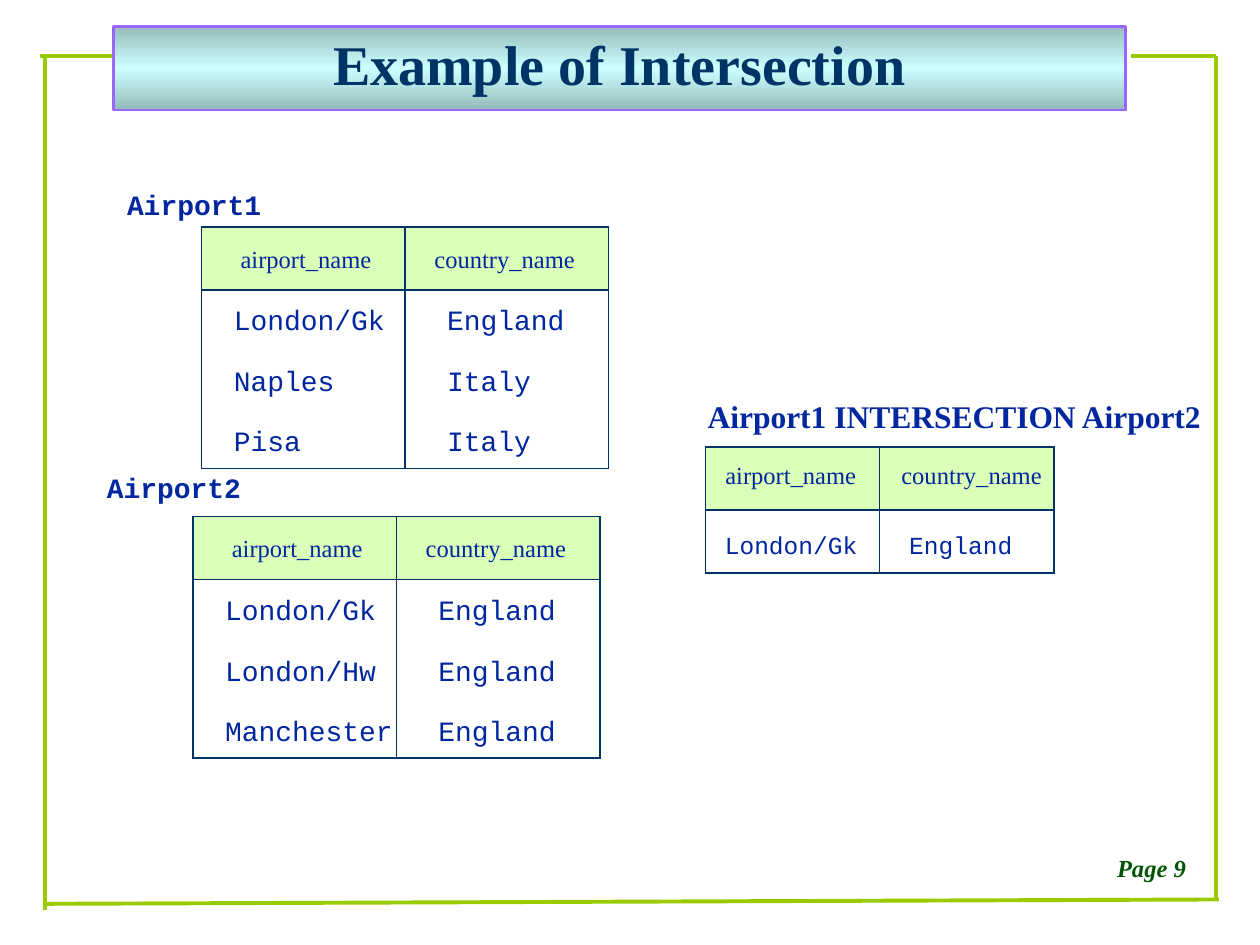
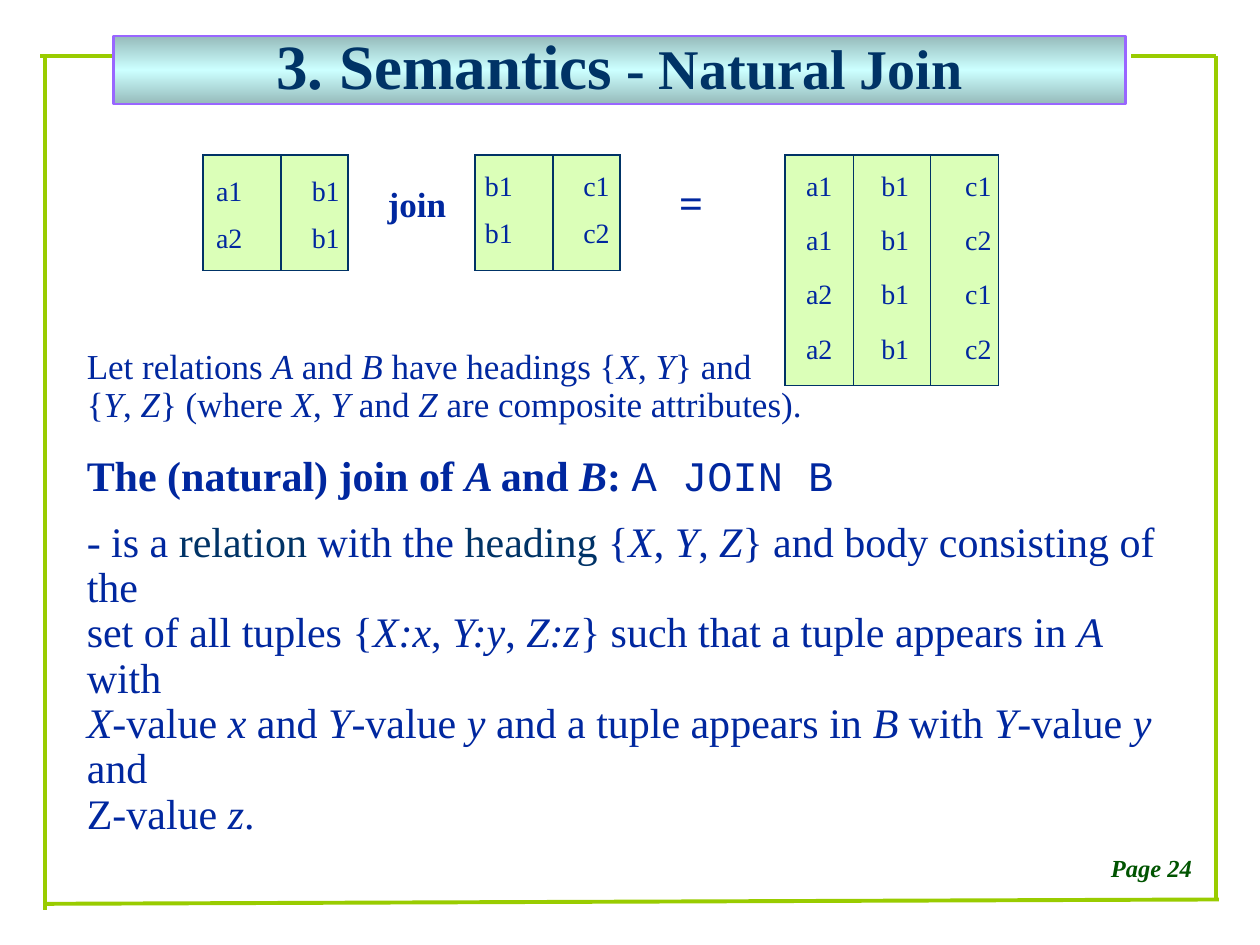
from collections import namedtuple
from copy import deepcopy

from lxml.etree import SubElement
from pptx import Presentation
from pptx.dml.color import RGBColor
from pptx.enum.shapes import MSO_CONNECTOR as Connector, MSO_SHAPE as Shape
from pptx.enum.text import MSO_ANCHOR as Anchor, PP_ALIGN as Align
from pptx.oxml.ns import qn
from pptx.util import Pt

COLORS = {
    "frame": "99CC00",
    "band_edge": "9966FF",
    "band_dark": "96BBBB",
    "band_light": "CCFFFF",
    "navy": "003366",
    "text": "00279F",
    "page": "005400",
    "green": "DBFFB8",
    "white": "FFFFFF",
}
SERIF, MONO = "Times New Roman", "Courier New"
TITLE = {"name": SERIF, "size": Pt(32), "bold": True, "color": "navy"}
PAGE = {"name": SERIF, "size": Pt(14), "bold": True, "italic": True, "color": "page"}
SERIF_14 = {"name": SERIF, "size": Pt(14)}
SERIF_16 = {"name": SERIF, "size": Pt(16)}
SERIF_20 = {"name": SERIF, "size": Pt(20)}
SERIF_24 = {"name": SERIF, "size": Pt(24)}
MONO_14 = {"name": MONO, "size": Pt(14)}
MONO_16 = {"name": MONO, "size": Pt(16)}
BOLD = {"bold": True}
NAVY = {"color": "navy"}

# inset: space above the text; indents: space left of the text, one per column
RowLook = namedtuple("RowLook", "fill style inset indents")

FRAME_LINES = [
    ((65, 32), (23, 32)),
    ((25.5, 32), (25.5, 520)),
    ((25.5, 516.5), (696.5, 514)),
    ((695, 32), (695, 514)),
    ((695, 32), (646.5, 32)),
]


def rgb(color):
    return RGBColor.from_string(COLORS[color])


def write(paragraph, pieces, style, spacing=0.9):
    """Add (text, overrides) pieces as runs; text between asterisks is italic."""
    paragraph.line_spacing = spacing
    for text, overrides in pieces:
        for index, part in enumerate(text.split("*")):
            if not part:
                continue
            run = paragraph.add_run()
            run.text = part
            look = {"color": "text", **style, **overrides}
            if index % 2:
                look["italic"] = True
            run.font.color.rgb = rgb(look.pop("color"))
            for attribute, value in look.items():
                setattr(run.font, attribute, value)


def add_label(slide, box, text, style, align=Align.LEFT):
    frame = slide.shapes.add_textbox(*map(Pt, box)).text_frame
    frame.word_wrap = True
    frame.paragraphs[0].alignment = align
    write(frame.paragraphs[0], [(text, {})], style)


def add_frame(slide):
    for start, end in FRAME_LINES:
        edge = slide.shapes.add_connector(
            Connector.STRAIGHT, *map(Pt, start + end))
        edge.line.color.rgb = rgb("frame")
        edge.line.width = Pt(2.25)
        SubElement(edge._element.spPr, qn("a:effectLst"))


def add_title(slide, top, height, pieces):
    band = slide.shapes.add_shape(
        Shape.RECTANGLE, Pt(65), Pt(top), Pt(578), Pt(height))
    band.shadow.inherit = False
    band.line.color.rgb = rgb("band_edge")
    band.line.width = Pt(1.5)
    band.fill.gradient()
    band.fill.gradient_angle = 90
    stops = band._element.spPr.find(".//" + qn("a:gsLst"))
    stops.insert(1, deepcopy(stops[0]))
    shades = ("band_dark", "band_light", "band_dark")
    for index, (stop, shade) in enumerate(zip(band.fill.gradient_stops, shades)):
        stop.color.rgb = rgb(shade)
        stop.position = index / 2
    frame = band.text_frame
    frame.word_wrap = True
    frame.vertical_anchor = Anchor.MIDDLE
    frame.paragraphs[0].alignment = Align.CENTER
    write(frame.paragraphs[0], pieces, TITLE, 0.85)


def start_slide(deck, page, title_top, title_height, title):
    slide = deck.slides.add_slide(deck.slide_layouts[6])
    add_frame(slide)
    add_label(slide, (604, 485.8, 108, 22), f"Page {page}", PAGE, Align.CENTER)
    add_title(slide, title_top, title_height, title)
    return slide


def set_borders(cell, sides):
    """Draw the named sides (L, R, T, B) and hide the others."""
    properties = cell._tc.get_or_add_tcPr()
    for side in "LRTB":
        border = SubElement(properties, qn("a:ln" + side), w=str(Pt(1)))
        if side in sides:
            fill = SubElement(border, qn("a:solidFill"))
            SubElement(fill, qn("a:srgbClr"), val=COLORS["navy"])
        else:
            SubElement(border, qn("a:noFill"))


def add_relation(slide, left, top, widths, heights, rows, first, rest):
    """Table without inner row lines, except below a first row of its own fill."""
    table = slide.shapes.add_table(
        len(rows), len(widths), Pt(left), Pt(top),
        Pt(sum(widths)), Pt(sum(heights))).table
    table.first_row = table.horz_banding = False
    for column, width in zip(table.columns, widths):
        column.width = Pt(width)
    has_heading = first.fill != rest.fill
    for r, values in enumerate(rows):
        table.rows[r].height = Pt(heights[r])
        look = rest if r else first
        sides = "LR"
        if r == 0 or (r == 1 and has_heading):
            sides += "T"
        if r == len(rows) - 1 or (r == 0 and has_heading):
            sides += "B"
        for c, value in enumerate(values):
            cell = table.cell(r, c)
            set_borders(cell, sides)
            cell.fill.solid()
            cell.fill.fore_color.rgb = rgb(look.fill)
            cell.margin_left, cell.margin_top = Pt(look.indents[c]), Pt(look.inset)
            cell.margin_right = cell.margin_bottom = 0
            write(cell.text_frame.paragraphs[0], [(value, {})], look.style)


def add_definition(slide, box):
    """Explain the natural join; each line is (space before, style, pieces)."""
    lines = [
        (0, SERIF_20, [("Let relations *A* and *B* have headings {*X*, *Y*} and", {})]),
        (0, SERIF_20, [("{*Y*, *Z*} (where *X*, *Y* and *Z* are composite attributes).", {})]),
        (17.5, SERIF_24, [("The (natural) join of *A *and *B*: ", BOLD),
                          ("A JOIN B", {"name": MONO})]),
        (11.5, SERIF_24, [("- is a ", {}), ("relation", NAVY), (" with the ", {}),
                          ("heading", NAVY),
                          (" {*X*, *Y*, *Z*} and body consisting of the", {})]),
        (0, SERIF_24, [("set of all tuples {*X:x*, *Y:y*, *Z:z*} such that "
                        "a tuple appears in *A* with", {})]),
        (0, SERIF_24, [("*X*-value *x* and *Y*-value *y* and a tuple appears in *B* "
                        "with *Y*-value *y* and", {})]),
        (0, SERIF_24, [("Z-value *z*.", {})]),
    ]
    frame = slide.shapes.add_textbox(*map(Pt, box)).text_frame
    frame.word_wrap = True
    for index, (gap, style, pieces) in enumerate(lines):
        paragraph = frame.add_paragraph() if index else frame.paragraphs[0]
        if gap:
            paragraph.space_before = Pt(gap)
        write(paragraph, pieces, style)


def build_intersection(deck):
    slide = start_slide(deck, 9, 15, 48, [("Example of Intersection", {})])
    heading = ("airport_name", "country_name")
    operands = [
        ("Airport1", (65.5, 106), (115.2, 129.6),
         [("London/Gk", "England"), ("Naples", "Italy"), ("Pisa", "Italy")]),
        ("Airport2", (54, 267.8), (110.2, 295.2),
         [("London/Gk", "England"), ("London/Hw", "England"), ("Manchester", "England")]),
    ]
    for name, label_at, relation_at, airports in operands:
        add_label(slide, (*label_at, 110, 24.5), name, {**MONO_16, **BOLD})
        add_relation(
            slide, *relation_at, (116.3, 116.3), (36, 34.5, 34.5, 33),
            [heading, *airports],
            RowLook("green", SERIF_14, 12.5, (22.3, 16.8)),
            RowLook("white", MONO_16, 10.5, (18.5, 24)))
    add_label(slide, (397.3, 225.7, 310, 26.5), "Airport1 INTERSECTION Airport2",
              {"name": SERIF, "size": Pt(18), "bold": True})
    add_relation(
        slide, 403, 255.5, (99.6, 99.6), (36, 36), [heading, ("London/Gk", "England")],
        RowLook("green", SERIF_14, 10.4, (11.5, 12.5)),
        RowLook("white", MONO_14, 14, (11.2, 17)))


def build_natural_join(deck):
    slide = start_slide(deck, 24, 20.5, 39,
                        [("3. Semantics", {"size": Pt(36)}), (" - Natural Join", {})])
    add_definition(slide, (42.5, 196, 633, 286.5))
    top = 88.5
    operands = [
        (116, [("a1", "b1"), ("a2", "b1")], (14, 8), (7.5, 17.7)),
        (271.4, [("b1", "c1"), ("b1", "c2")], (11, 5), (5.7, 17.5)),
    ]
    for left, rows, insets, indents in operands:
        looks = [RowLook("green", SERIF_16, inset, indents) for inset in insets]
        add_relation(slide, left, top, (44.5, 38.5), (33, 33), rows, *looks)
    add_label(slide, (214.5, 103.7, 56, 29), "join", {**SERIF_20, **BOLD})
    add_label(slide, (381, 100.5, 40, 33), "=", {**SERIF_24, **BOLD})
    joined = [(a, "b1", c) for a in ("a1", "a2") for c in ("c1", "c2")]
    look = RowLook("green", SERIF_16, 11, (12, 16, 20))
    add_relation(slide, 448.6, top, (39, 44, 39), (31, 31, 31, 39), joined, look, look)


def main():
    deck = Presentation()
    deck.slide_width, deck.slide_height = Pt(720), Pt(540)
    build_intersection(deck)
    build_natural_join(deck)
    deck.save("out.pptx")


if __name__ == "__main__":
    main()
